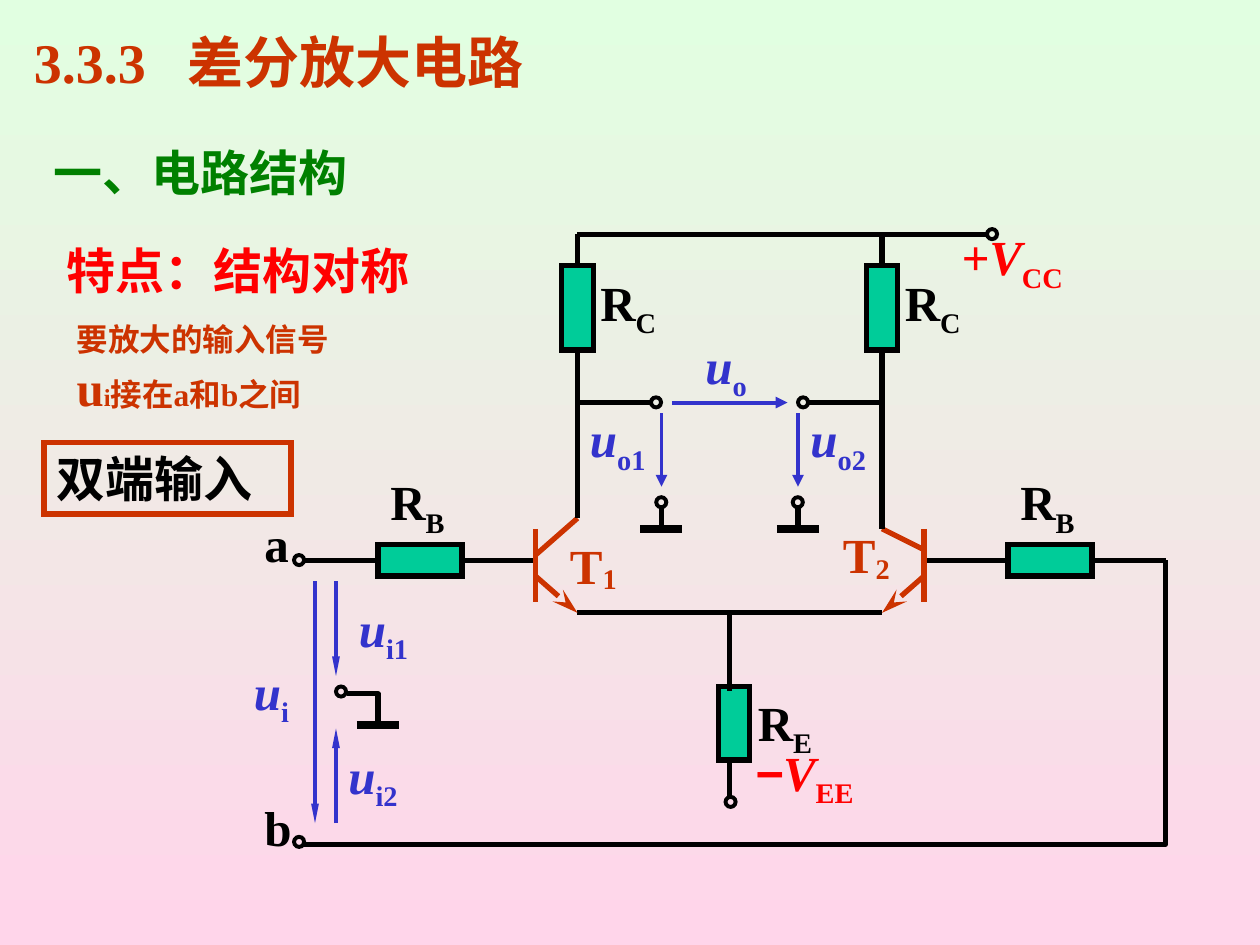
from dataclasses import dataclass
from typing import Any

from lxml import etree
from pptx import Presentation
from pptx.dml.color import RGBColor
from pptx.enum.shapes import MSO_CONNECTOR, MSO_SHAPE
from pptx.enum.text import MSO_ANCHOR, PP_ALIGN
from pptx.oxml.ns import qn
from pptx.util import Inches, Pt

STRAIGHT = MSO_CONNECTOR.STRAIGHT
RECTANGLE, OVAL = MSO_SHAPE.RECTANGLE, MSO_SHAPE.OVAL
TOP, MIDDLE = MSO_ANCHOR.TOP, MSO_ANCHOR.MIDDLE
LEFT, CENTER = PP_ALIGN.LEFT, PP_ALIGN.CENTER
BLACK, RUST, RED, BLUE = "000000", "CC3300", "FF0000", "3333CC"
GREEN, TEAL = "008000", "00CC99"
SERIF, SANS = "Times New Roman", "Arial"
FLOW, SIGNAL, EMITTER = ("triangle", "med", "med"), ("triangle", "sm", "lg"), ("stealth", "med", "lg")
COLUMNS, ROWS = 87, 58


def color(value):
    return RGBColor.from_string(value)


def outline(shape, value, weight):
    shape.line.color.rgb = color(value)
    shape.line.width = Pt(weight)
    etree.SubElement(shape.line._get_or_add_ln(), qn("a:miter"), lim="800000")


@dataclass
class Grid:
    slide: Any
    left: float
    top: float
    width: float
    height: float

    def x(self, column):
        return Inches(self.left + column * self.width / COLUMNS)

    def y(self, row):
        return Inches(self.top + row * self.height / ROWS)

    def wire(self, start, end, value=BLACK, weight=3, arrow=None):
        connector = self.slide.shapes.add_connector(
            STRAIGHT, self.x(start[0]), self.y(start[1]), self.x(end[0]), self.y(end[1]))
        connector.line.color.rgb = color(value)
        connector.line.width = Pt(weight)
        if arrow:
            kind, width, length = arrow
            etree.SubElement(connector.line._get_or_add_ln(), qn("a:tailEnd"),
                             type=kind, w=width, len=length)
        etree.SubElement(connector._element.spPr, qn("a:effectLst"))

    def path_wire(self, points):
        corners = [(self.x(column), self.y(row)) for column, row in points]
        builder = self.slide.shapes.build_freeform(*corners[0])
        builder.add_line_segments(corners[1:], close=False)
        shape = builder.convert_to_shape()
        shape.shadow.inherit = False
        shape.fill.background()
        shape.line.color.rgb = color(BLACK)
        shape.line.width = Pt(3)

    def resistor(self, column, row, width, height):
        shape = self.slide.shapes.add_shape(
            RECTANGLE, self.x(column), self.y(row),
            self.x(column + width) - self.x(column), self.y(row + height) - self.y(row))
        shape.shadow.inherit = False
        shape.fill.solid()
        shape.fill.fore_color.rgb = color(TEAL)
        outline(shape, BLACK, 3)

    def terminal(self, column, row):
        shape = self.slide.shapes.add_shape(
            OVAL, self.x(column - 0.5), self.y(row - 0.5), Inches(0.08), Inches(0.08))
        shape.shadow.inherit = False
        shape.fill.background()
        outline(shape, BLACK, 2.25)

    def ground(self, column, row):
        self.wire((column - 2, row), (column + 2, row), weight=4.5)

    def label(self, column, row, symbol, subscript, value, italic=False,
              width=0.83, offset=-25, centered=False):
        shape = self.slide.shapes.add_textbox(
            self.x(column), self.y(row), Inches(width), Inches(0.63 if offset == -25 else 0.58))
        frame = shape.text_frame
        frame.word_wrap = True
        frame.vertical_anchor = MIDDLE if centered else TOP
        paragraph = frame.paragraphs[0]
        paragraph.alignment = CENTER if centered else LEFT
        for text in symbol:
            add_run(paragraph, text, 28, value, italic, SANS if text == "−" else SERIF)
        if subscript:
            run = add_run(paragraph, subscript, 28, value)
            run.font._element.set("baseline", str(offset * 1000))


def add_run(paragraph, text, size, value, italic=False, font=SERIF):
    run = paragraph.add_run()
    run.text = text
    run.font.name = font
    run.font.size = Pt(size)
    run.font.bold = True
    run.font.italic = italic
    run.font.color.rgb = color(value)
    return run


def add_text(slide, box, runs, value, tab=None):
    shape = slide.shapes.add_textbox(*map(Inches, box))
    shape.text_frame.word_wrap = True
    paragraph = shape.text_frame.paragraphs[0]
    if tab:
        tabs = etree.SubElement(paragraph._p.get_or_add_pPr(), qn("a:tabLst"))
        etree.SubElement(tabs, qn("a:tab"), pos=str(Inches(tab)), algn="l")
    for text, size in runs:
        add_run(paragraph, text, size, value)
    return shape


def add_background(slide):
    fill = slide.background.fill
    fill.gradient()
    fill.gradient_angle = 270
    for stop, value in zip(fill.gradient_stops, ("E1FFE1", "FFD5EA")):
        stop.color.rgb = color(value)


def add_notes_column(slide, left, top):
    add_text(slide, (left, top, 4.5, 0.64), [("3.3.3\t差分放大电路", 32)], RUST, tab=1.22)
    add_text(slide, (left + 0.16, top + 0.91, 4, 0.57), [("一、电路结构", 28)], GREEN)
    add_text(slide, (left + 0.26, top + 1.69, 3.17, 0.57), [("特点：结构对称", 28)], RED)
    add_text(slide, (left + 0.34, top + 2.32, 2.36, 0.87),
             [("要放大的输入信号", 18), ("u", 28), ("i", 14), ("接在a和b之间", 18)], RUST)
    frame = add_text(slide, (left + 0.18, top + 3.34, 1.96, 0.57), [("双端输入", 28)], BLACK)
    outline(frame, RUST, 3)


def add_transistor(grid, base, collector, tap, top):
    grid.wire((base, 28), (base, 35), RUST)
    grid.wire((base, tap), (collector, top), RUST)
    grid.wire((base, 32.5), (collector, 36), RUST, arrow=EMITTER)
    grid.wire((collector, 0), (collector, top))
    grid.resistor(collector - 1.5, 3, 3, 8)
    grid.label(collector + 1, 3, "R", "C", BLACK)


def add_output(grid, collector, tap, terminal, column, name, label_column):
    grid.wire((collector, 16), (tap, 16))
    grid.terminal(terminal, 16)
    grid.wire((column, 17), (column, 24), BLUE, 2.25, FLOW)
    grid.terminal(column, 25.5)
    grid.wire((column, 26), (column, 28))
    grid.ground(column, 28)
    grid.label(label_column, 16, "u", name, BLUE, True)


def add_amplifier(grid):
    grid.wire((64, 31), (87, 31))
    grid.wire((5, 31), (27, 31))
    grid.wire((31, 0), (70, 0))
    grid.wire((31, 36), (60, 36))
    add_transistor(grid, 27, 31, 30.5, 27)
    add_transistor(grid, 64, 60, 30, 28)
    add_output(grid, 31, 38, 38.5, 39, "o1", 31)
    add_output(grid, 60, 53, 52.5, 52, "o2", 52)
    grid.wire((40, 16), (51, 16), BLUE, 2.25, FLOW)
    grid.label(42, 9, "u", "o", BLUE, True)
    for column in (12, 72):
        grid.resistor(column, 29.5, 8, 3)
        grid.label(column, 22, "R", "B", BLACK)
    for column, row, name in ((28, 28, "1"), (54, 27, "2")):
        grid.label(column, row, "T", name, RUST, width=0.75, offset=-12, centered=True)


def add_supplies(grid):
    grid.terminal(70.5, 0)
    grid.label(65.2, -1.3, "+V", "CC", RED, True, 1.2, centered=True)
    grid.resistor(44.4, 43, 3, 7)
    grid.wire((45.5, 36), (45.5, 43.4))
    grid.wire((45.5, 50), (45.5, 53.5))
    grid.terminal(45.6, 54)
    grid.label(47, 43, "R", "E", BLACK)
    grid.label(46.4, 47.7, "−V", "EE", RED, True, 1.03, centered=True)


def add_inputs(grid):
    grid.path_wire([(87, 31), (87, 58), (5, 58)])
    grid.path_wire([(9, 43.7), (12, 43.7), (12, 46.7)])
    grid.ground(12, 46.7)
    for column, row in ((4.5, 31), (4.5, 57.8), (8.5, 43.5)):
        grid.terminal(column, row)
    for column, start, end in ((6, 33, 56), (8, 33, 42), (8, 56, 47)):
        grid.wire((column, start), (column, end), BLUE, 2.25, SIGNAL)
    for column, row, name in ((-1, 40, "i"), (9, 34, "i1"), (8, 48, "i2")):
        grid.label(column, row, "u", name, BLUE, True)
    for row, name in ((26, "a"), (53, "b")):
        grid.label(0, row, name, "", BLACK, width=0.67)


def main():
    presentation = Presentation()
    presentation.slide_width, presentation.slide_height = Inches(10), Inches(7.5)
    slide = presentation.slides.add_slide(presentation.slide_layouts[6])
    add_background(slide)
    add_notes_column(slide, 0.17, 0.17)
    grid = Grid(slide, 2, 1.86, 7.25, 4.84)
    add_amplifier(grid)
    add_supplies(grid)
    add_inputs(grid)
    presentation.save("out.pptx")


if __name__ == "__main__":
    main()
